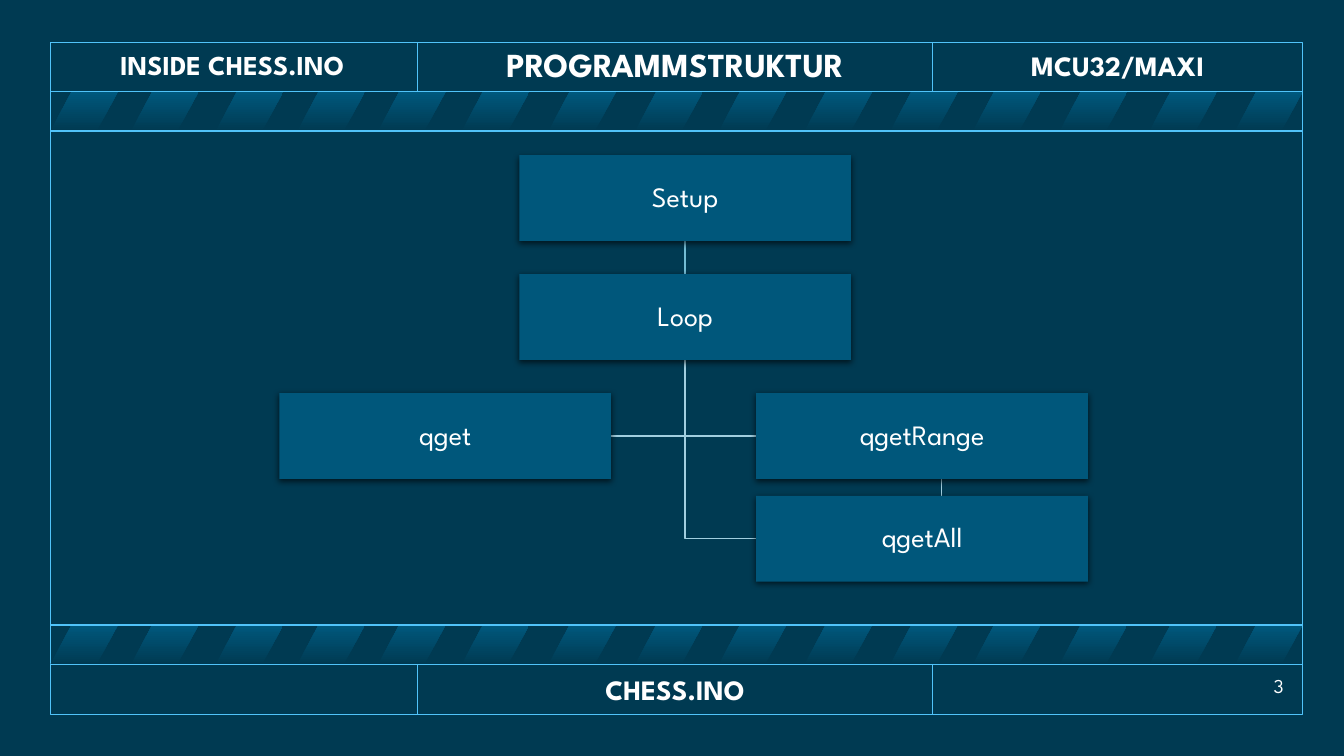
from lxml import etree
from pptx import Presentation
from pptx.dml.color import RGBColor
from pptx.enum.shapes import MSO_CONNECTOR, MSO_SHAPE
from pptx.enum.text import MSO_ANCHOR, PP_ALIGN
from pptx.oxml import parse_xml
from pptx.oxml.ns import qn
from pptx.util import Inches, Pt

RECTANGLE, PARALLELOGRAM = MSO_SHAPE.RECTANGLE, MSO_SHAPE.PARALLELOGRAM
STRAIGHT = MSO_CONNECTOR.STRAIGHT
CENTER, RIGHT = PP_ALIGN.CENTER, PP_ALIGN.RIGHT
MIDDLE = MSO_ANCHOR.MIDDLE

BACKGROUND, FRAME, BOX, STRIPE = "003A52", "51C3F9", "00577B", "00587D"
WHITE, BRANCH, TRUNK = "FFFFFF", "A1CEDF", "73BCD4"
FONT = "League Spartan"
HEADING = {"name": FONT, "size": Pt(20), "bold": True}
BODY = {"name": FONT, "size": Pt(20), "bold": False}

COLUMNS = [4.14, 9.25]
STRIPE_LEFTS = [0, 0.8, 1.64, 2.45, 3.25, 4.08, 4.94, 5.8,
                6.63, 7.48, 8.33, 9.15, 10.01, 10.9, 11.75]
STRIPE_WIDTH, STRIPE_HEIGHT = 0.67, 0.39
BOX_WIDTH, BOX_HEIGHT = 3.29, 0.85

SHADOW = (
    '<a:effectLst xmlns:a="http://schemas.openxmlformats.org/drawingml/2006/main">'
    '<a:outerShdw blurRad="57150" dist="19050" dir="5400000" algn="ctr" rotWithShape="0">'
    '<a:srgbClr val="000000"><a:alpha val="63000"/></a:srgbClr>'
    '</a:outerShdw></a:effectLst>'
)


def rgb(color):
    return RGBColor.from_string(color)


def set_line(shape, color):
    shape.line.color.rgb = rgb(color)
    shape.line.width = Pt(1)


def add_line(slide, start, end, color):
    points = [Inches(value) for value in (*start, *end)]
    line = slide.shapes.add_connector(STRAIGHT, *points)
    set_line(line, color)
    etree.SubElement(line._element.spPr, qn("a:effectLst"))


def add_shape(slide, kind, left, top, width, height):
    shape = slide.shapes.add_shape(
        kind, Inches(left), Inches(top), Inches(width), Inches(height))
    shape.shadow.inherit = False
    shape.line.fill.background()
    return shape


def write_text(shape, text, font_format, alignment=CENTER):
    frame = shape.text_frame
    frame.word_wrap = True
    frame.vertical_anchor = MIDDLE
    paragraph = frame.paragraphs[0]
    paragraph.alignment = alignment
    paragraph.line_spacing = 0.9
    run = paragraph.add_run()
    run.text = text
    for name, value in font_format.items():
        setattr(run.font, name, value)
    run.font.color.rgb = rgb(WHITE)


def add_label(slide, box, text, font_format, alignment=CENTER):
    label = slide.shapes.add_textbox(*[Inches(value) for value in box])
    write_text(label, text, font_format, alignment)


def add_stripe_band(slide, left, top, width):
    for offset in STRIPE_LEFTS:
        stripe = add_shape(slide, PARALLELOGRAM, left + offset, top,
                           STRIPE_WIDTH, STRIPE_HEIGHT)
        stripe.adjustments[0] = 0.538
        stripe.fill.gradient()
        stripe.fill.gradient_angle = 90
        for stop, color in zip(stripe.fill.gradient_stops, (BACKGROUND, STRIPE)):
            stop.color.rgb = rgb(color)
    for y in (top, top + STRIPE_HEIGHT):
        add_line(slide, (left, y), (left + width, y), FRAME)


def add_frame(slide, left, top, width, height):
    border = add_shape(slide, RECTANGLE, left, top, width, height)
    border.fill.background()
    set_line(border, FRAME)
    row_height = 0.49
    bottom = top + height
    # Column dividers in the header and footer rows
    for x in COLUMNS:
        for row_top in (top, bottom - row_height):
            add_line(slide, (x, row_top), (x, row_top + row_height), FRAME)
    # Striped bands inside the two rows
    add_stripe_band(slide, left, top + row_height, width)
    add_stripe_band(slide, left, bottom - row_height - STRIPE_HEIGHT - 0.01, width)


def add_elbow(slide, start, corner, end):
    points = [(Inches(x), Inches(y)) for x, y in (start, corner, end)]
    builder = slide.shapes.build_freeform(*points[0])
    builder.add_line_segments(points[1:], close=False)
    elbow = builder.convert_to_shape()
    elbow.shadow.inherit = False
    elbow.fill.background()
    set_line(elbow, BRANCH)


def add_step(slide, left, top, text):
    step = add_shape(slide, RECTANGLE, left, top, BOX_WIDTH, BOX_HEIGHT)
    step.fill.solid()
    step.fill.fore_color.rgb = rgb(BOX)
    properties = step._element.spPr
    properties.replace(properties.find(qn("a:effectLst")), parse_xml(SHADOW))
    write_text(step, text, BODY)


def add_program_tree(slide, left, top):
    center_left, right_left = left + 2.38, left + 4.73
    trunk_x = center_left + BOX_WIDTH / 2
    loop_top, branch_top, all_top = top + 1.18, top + 2.36, top + 3.38
    loop_bottom = loop_top + BOX_HEIGHT
    range_link_x = right_left + 1.84

    # Links, behind the boxes
    add_line(slide, (range_link_x, branch_top + BOX_HEIGHT / 2),
             (range_link_x, all_top + 0.25), BRANCH)
    for end_x, box_top in ((right_left, all_top), (right_left, branch_top),
                           (left + BOX_WIDTH, branch_top)):
        y = box_top + BOX_HEIGHT / 2
        add_elbow(slide, (trunk_x, loop_bottom), (trunk_x, y), (end_x, y))
    add_line(slide, (trunk_x, top + BOX_HEIGHT), (trunk_x, loop_top), TRUNK)

    # Boxes
    for box_left, box_top, text in (
        (center_left, top, "Setup"),
        (center_left, loop_top, "Loop"),
        (left, branch_top, "qget"),
        (right_left, branch_top, "qgetRange"),
        (right_left, all_top, "qgetAll"),
    ):
        add_step(slide, box_left, box_top, text)


def add_headings(slide):
    add_label(slide, (4.15, 0.43, 5.09, 0.47), "PROGRAMMSTRUKTUR",
              {**HEADING, "size": Pt(24)})
    add_label(slide, (4.15, 6.62, 5.09, 0.47), "CHESS.INO", HEADING)
    add_label(slide, (0.48, 0.41, 3.65, 0.5), "INSIDE CHESS.INO",
              {**HEADING, "size": Pt(19.5)})
    add_label(slide, (9.26, 0.43, 3.65, 0.47), "MCU32/MAXI", HEADING)
    add_label(slide, (11.91, 6.67, 0.92, 0.3), "3", {**BODY, "size": Pt(14)}, RIGHT)


def main():
    presentation = Presentation()
    presentation.slide_width = Inches(13.33)
    presentation.slide_height = Inches(7.5)
    slide = presentation.slides.add_slide(presentation.slide_layouts[6])
    slide.background.fill.solid()
    slide.background.fill.fore_color.rgb = rgb(BACKGROUND)
    add_frame(slide, 0.5, 0.42, 12.42, 6.67)
    add_program_tree(slide, 2.77, 1.54)
    add_headings(slide)
    presentation.save("out.pptx")


if __name__ == "__main__":
    main()
